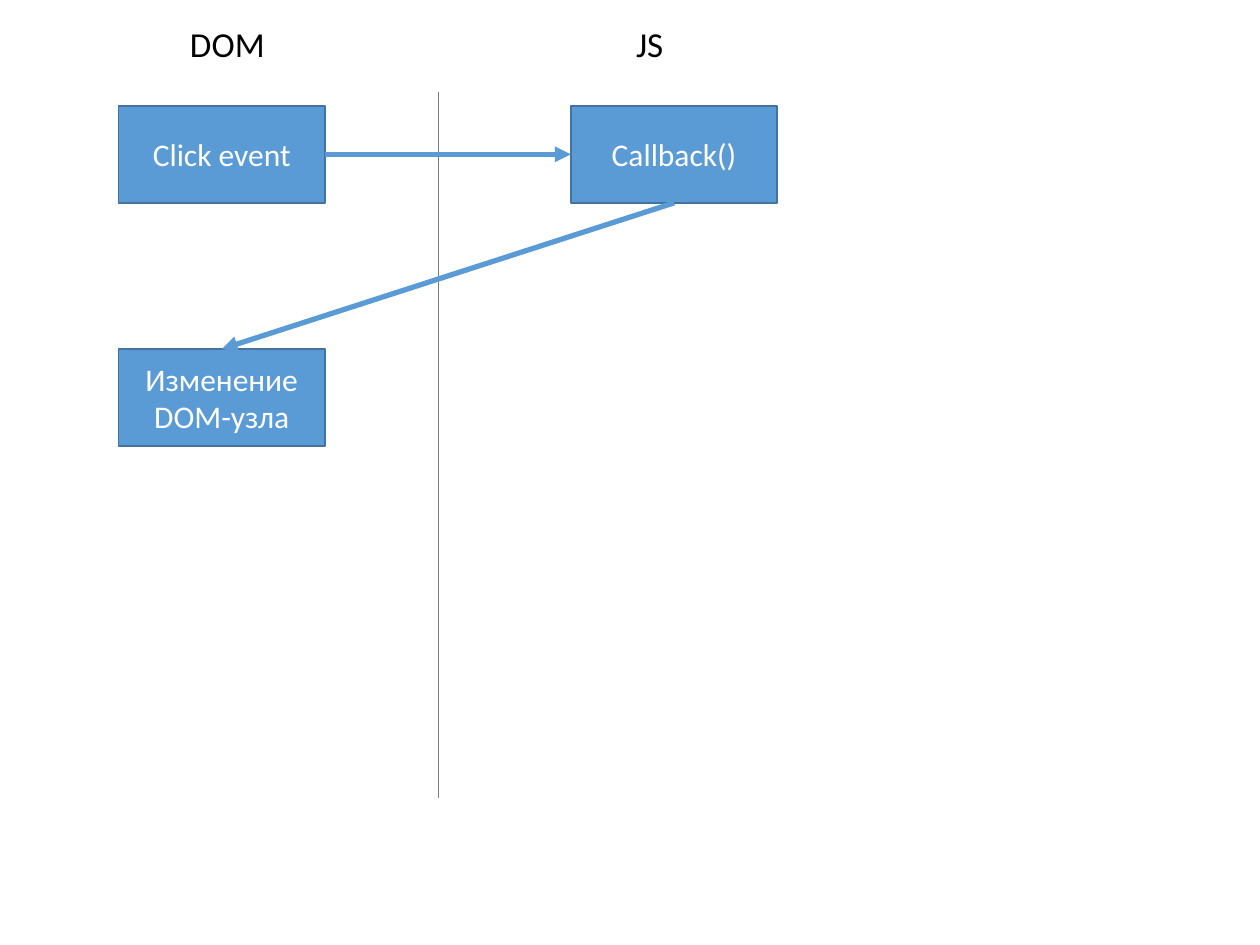
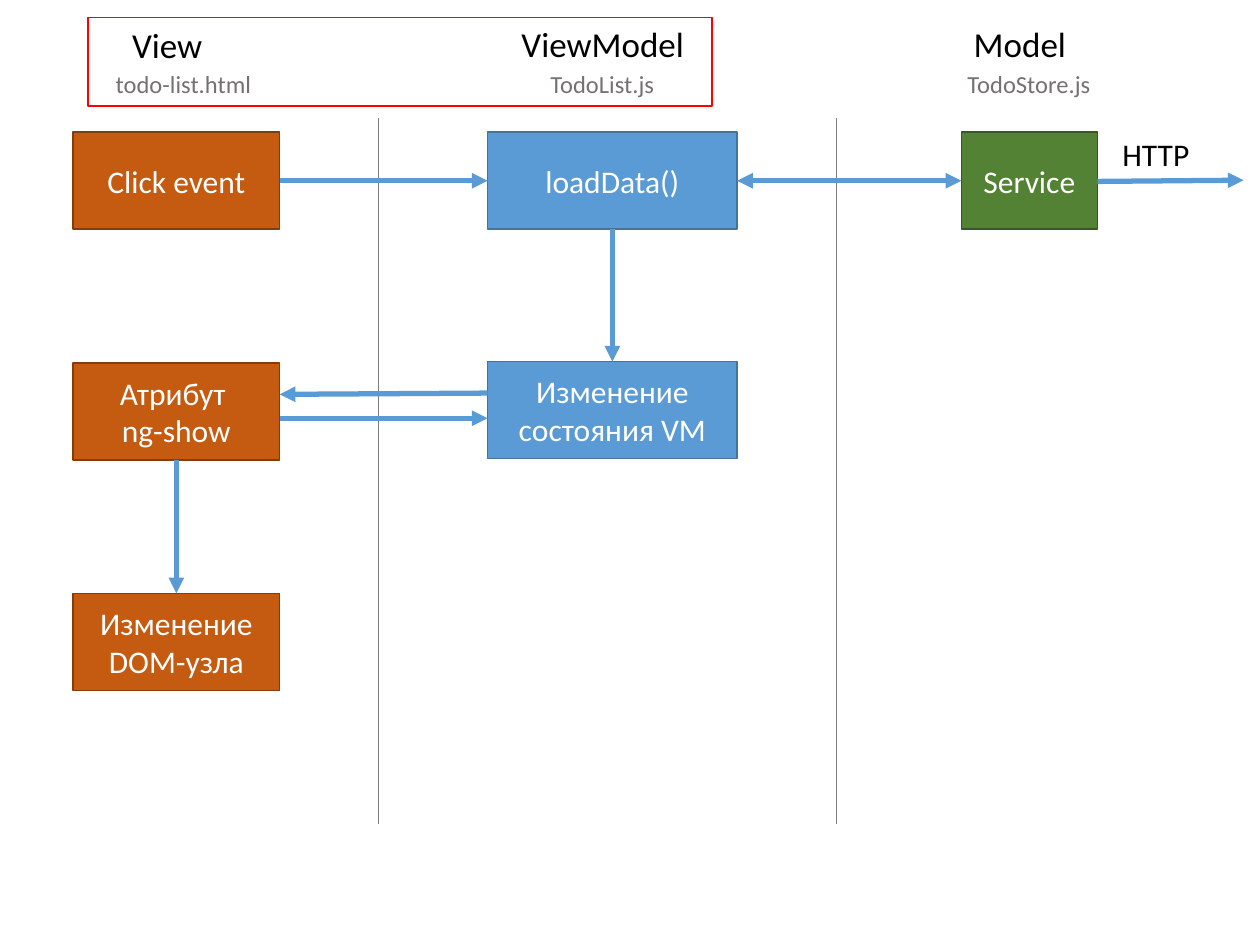
import pptx
import pptx.util
import pptx.dml.color
import pptx.enum.shapes
import pptx.enum.text
import pptx.oxml.ns
import lxml.etree

Inches = pptx.util.Inches
Pt = pptx.util.Pt
RGBColor = pptx.dml.color.RGBColor
qn = pptx.oxml.ns.qn
STRAIGHT = pptx.enum.shapes.MSO_CONNECTOR.STRAIGHT

BLACK = RGBColor(0x00, 0x00, 0x00)
WHITE = RGBColor(0xFF, 0xFF, 0xFF)
RED = RGBColor(0xFF, 0x00, 0x00)
GRAY = RGBColor(0x76, 0x71, 0x71)
RULE = RGBColor(0x7C, 0x7C, 0x7C)
BLUE = RGBColor(0x5B, 0x9B, 0xD5)
BLUE_EDGE = RGBColor(0x43, 0x73, 0x9E)
ORANGE = RGBColor(0xC5, 0x5A, 0x11)
ORANGE_EDGE = RGBColor(0x84, 0x3C, 0x0B)
GREEN = RGBColor(0x54, 0x82, 0x35)
GREEN_EDGE = RGBColor(0x38, 0x57, 0x23)

BLUE_BOX = (BLUE, BLUE_EDGE)
ORANGE_BOX = (ORANGE, ORANGE_EDGE)
GREEN_BOX = (GREEN, GREEN_EDGE)

TOP, LEFT, BOTTOM, RIGHT = range(4)


class Diagram:
    font = "Calibri"
    box_width = 1.64
    box_height = 0.77
    rule_length = 5.6

    def __init__(self, prs):
        self.prs = prs
        self.s = None

    def new_slide(self):
        self.s = self.prs.slides.add_slide(self.prs.slide_layouts[6])

    def set_text(self, tf, text, size, color, **paragraph_format):
        tf.text = text
        for p in tf.paragraphs:
            for name, value in paragraph_format.items():
                setattr(p, name, value)
            for r in p.runs:
                r.font.color.rgb = color
                for name, value in {"name": self.font, "size": Pt(size)}.items():
                    setattr(r.font, name, value)

    def rect(self, x, y, w, h, edge, fill=None):
        sp = self.s.shapes.add_shape(
            pptx.enum.shapes.MSO_SHAPE.RECTANGLE,
            Inches(x), Inches(y), Inches(w), Inches(h))
        sp.shadow.inherit = False
        if fill is None:
            sp.fill.background()
        else:
            sp.fill.solid()
            sp.fill.fore_color.rgb = fill
        sp.line.color.rgb = edge
        sp.line.width = Pt(1)
        return sp

    def box(self, text, x, y, colors=BLUE_BOX, w=box_width):
        fill, edge = colors
        sp = self.rect(x, y, w, self.box_height, edge, fill)
        sp.text_frame.vertical_anchor = pptx.enum.text.MSO_ANCHOR.MIDDLE
        self.set_text(sp.text_frame, text, 18, WHITE,
                      alignment=pptx.enum.text.PP_ALIGN.CENTER)
        return sp

    def label(self, text, x, y, w, size=20, color=BLACK):
        height = {20: 0.44, 18: 0.4, 14: 0.34}[size]
        sp = self.s.shapes.add_textbox(Inches(x), Inches(y), Inches(w), Inches(height))
        tf = sp.text_frame
        self.set_text(tf, text, size, color)
        tf.word_wrap = False
        tf.auto_size = pptx.enum.text.MSO_AUTO_SIZE.SHAPE_TO_FIT_TEXT

    def line(self, start, end, color, width):
        points = [Inches(v) for v in (*start, *end)]
        c = self.s.shapes.add_connector(STRAIGHT, *points)
        c.line.color.rgb = color
        c.line.width = Pt(width)
        lxml.etree.SubElement(c._element.spPr, qn("a:effectLst"))
        return c

    def rule(self, x, y):
        self.line((x, y), (x, y + self.rule_length), RULE, 0.5)

    def arrow(self, start, end, both=False):
        c = self.line(start, end, BLUE, 3)
        ln = c._element.spPr.find(qn("a:ln"))
        for tag in ("a:headEnd", "a:tailEnd") if both else ("a:tailEnd",):
            lxml.etree.SubElement(ln, qn(tag), type="triangle")
        return c

    def link(self, source, source_side, target, target_side, both=False):
        c = self.arrow((0, 0), (1, 1), both)
        c.begin_connect(source, source_side)
        c.end_connect(target, target_side)


def build_dom_and_js(d):
    d.new_slide()
    dom_x, js_x, top = 0.94, 4.53, 0.84
    d.label("DOM", 1.41, 0.13, 0.8)
    d.label("JS", 4.95, 0.13, 0.42)
    d.rule(3.48, 0.73)
    click = d.box("Click event", dom_x, top)
    callback = d.box("Callback()", js_x, top)
    change = d.box("Изменение DOM-узла", dom_x, 2.77)
    d.link(click, RIGHT, callback, LEFT)
    d.link(callback, BOTTOM, change, TOP)


def build_mvvm(d):
    d.new_slide()
    view_x, vm_x, model_x = 0.58, 3.87, 7.63
    rows = [1.05, 2.88, 4.71]
    vm_width = 1.98

    for x in (3, 6.64):
        d.rule(x, 0.94)
    for text, x, y, w in (("View", 0.95, 0.14, 0.77),
                          ("ViewModel", 4.04, 0.13, 1.5),
                          ("Model", 7.63, 0.13, 0.94)):
        d.label(text, x, y, w)
    for text, x, w in (("todo-list.html", 0.82, 1.29),
                       ("TodoList.js", 4.27, 1.03),
                       ("TodoStore.js", 7.58, 1.19)):
        d.label(text, x, 0.5, w, 14, GRAY)

    click, attribute, change = [
        d.box(text, view_x, y, ORANGE_BOX)
        for text, y in zip(("Click event", "Атрибут \nng-show", "Изменение DOM-узла"), rows)]
    load, state = [
        d.box(text, vm_x, y, w=vm_width)
        for text, y in (("loadData()", rows[0]), ("Изменение\ncостояния VM", 2.87))]
    service = d.box("Service", model_x, rows[0], GREEN_BOX, 1.08)

    d.link(click, RIGHT, load, LEFT)
    d.link(load, RIGHT, service, LEFT, both=True)
    d.link(load, BOTTOM, state, TOP)
    d.link(attribute, BOTTOM, change, TOP)
    view_right = view_x + d.box_width
    d.arrow((vm_x, 3.12), (view_right, 3.13))
    d.arrow((view_right, 3.32), (vm_x, 3.32))
    d.arrow((8.71, 1.44), (9.87, 1.43))
    d.label("HTTP", 8.81, 1.02, 0.74, 18)
    d.rect(0.7, 0.14, 4.95, 0.7, RED)


def main():
    prs = pptx.Presentation()
    prs.slide_width = Inches(10)
    prs.slide_height = Inches(7.5)
    d = Diagram(prs)
    build_dom_and_js(d)
    build_mvvm(d)
    prs.save("out.pptx")


if __name__ == "__main__":
    main()
